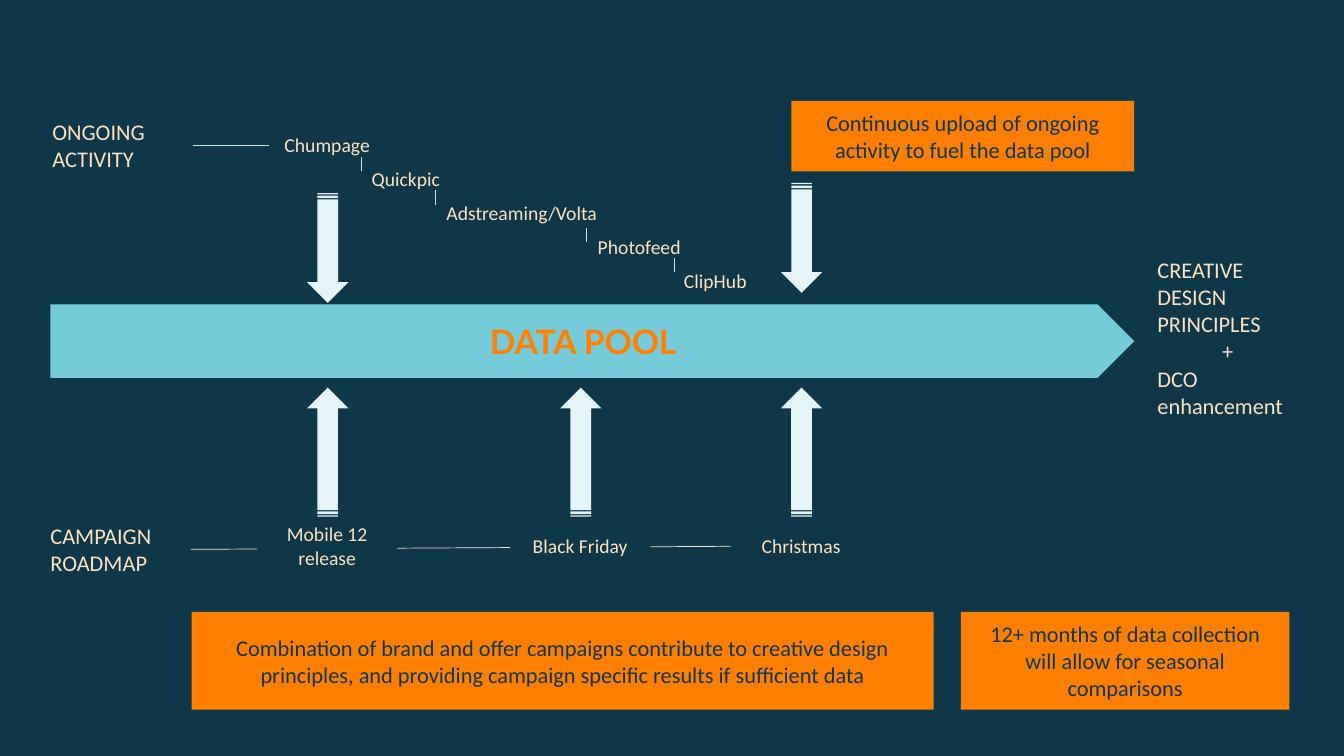
from lxml.etree import SubElement
from pptx import Presentation
from pptx.dml.color import RGBColor
from pptx.enum.shapes import MSO_CONNECTOR, MSO_SHAPE
from pptx.enum.text import MSO_ANCHOR, MSO_AUTO_SIZE, PP_ALIGN
from pptx.oxml.ns import qn
from pptx.util import Inches, Pt

COLORS = {
    "navy": "0F374A",
    "aqua": "75CBD9",
    "ice": "E3F5F7",
    "cream": "FDE2C1",
    "orange": "FF7F00",
    "grey": "DBDBDB",
}
LEFT, CENTER = PP_ALIGN.LEFT, PP_ALIGN.CENTER
TOP, MIDDLE = MSO_ANCHOR.TOP, MSO_ANCHOR.MIDDLE
GROW, FIXED = MSO_AUTO_SIZE.SHAPE_TO_FIT_TEXT, MSO_AUTO_SIZE.NONE
RIGHT_SIDE, LEFT_SIDE = 3, 1


def color(name):
    return RGBColor.from_string(COLORS[name])


def apply(target, values):
    for attribute, value in values.items():
        setattr(target, attribute, value)


def write(shape, paragraphs, size, ink, anchor=TOP, insets=(0, 0),
          font="Calibri", bold=False, autosize=GROW):
    side, end = map(Inches, insets)
    frame = shape.text_frame
    apply(frame, {
        "word_wrap": True, "auto_size": autosize, "vertical_anchor": anchor,
        "margin_left": side, "margin_right": side,
        "margin_top": end, "margin_bottom": end,
    })
    for index, (text, alignment) in enumerate(paragraphs):
        paragraph = frame.add_paragraph() if index else frame.paragraphs[0]
        paragraph.alignment = alignment
        run = paragraph.add_run()
        run.text = text
        apply(run.font, {"name": font, "size": Pt(size), "bold": bold})
        run.font.color.rgb = color(ink)


def add_block(slide, kind, box, fill):
    block = slide.shapes.add_shape(kind, *map(Inches, box))
    block.shadow.inherit = False
    block.fill.solid()
    block.fill.fore_color.rgb = color(fill)
    block.line.fill.background()
    return block


def add_label(slide, box, paragraphs, size):
    label = slide.shapes.add_textbox(*map(Inches, box))
    write(label, paragraphs, size, "cream")
    return label


def add_milestone(slide, box, text, size, alignment=CENTER):
    milestone = add_block(slide, MSO_SHAPE.RECTANGLE, box, "navy")
    write(milestone, [(text, alignment)], size, "cream")
    return milestone


def add_callout(slide, box, text):
    callout = add_block(slide, MSO_SHAPE.RECTANGLE, box, "orange")
    write(callout, [(text, CENTER)], 16, "navy", MIDDLE, (0.2, 0.08))


def add_flow_arrow(slide, center_x, center_y, length, rotation):
    width = 0.41
    box = (center_x - length / 2, center_y - width / 2, length, width)
    arrow = add_block(slide, MSO_SHAPE.STRIPED_RIGHT_ARROW, box, "ice")
    arrow.rotation = rotation


def add_line(slide, start, end, ink):
    line = slide.shapes.add_connector(
        MSO_CONNECTOR.STRAIGHT, *map(Inches, (*start, *end)))
    line.line.color.rgb = color(ink)
    line.line.width = Pt(0.5)
    SubElement(line._element.spPr, qn("a:effectLst"))
    return line


def join(line, first, last):
    line.begin_connect(first, RIGHT_SIDE)
    line.end_connect(last, LEFT_SIDE)


def add_roadmap(slide):
    roadmap_line = add_line(slide, (1.9, 5.45), (7.25, 5.41), "cream")
    heading = add_milestone(
        slide, (0.5, 5.18, 1.39, 0.54), "CAMPAIGN ROADMAP", 16, LEFT)
    for left, top, height, text in (
        (2.55, 5.18, 0.47, "Mobile 12 release"),
        (5.06, 5.3, 0.24, "Black Friday"),
        (7.25, 5.3, 0.24, "Christmas"),
    ):
        milestone = add_milestone(slide, (left, top, 1.39, height), text, 14)
        add_flow_arrow(slide, left + 0.7, 4.485, 1.28, 270)
    join(roadmap_line, heading, milestone)


def add_ongoing_activity(slide):
    heading = add_label(
        slide, (0.52, 1.17, 1.39, 0.54), [("ONGOING ACTIVITY", LEFT)], 16)
    channels = [
        add_label(slide, (left, 1.32 + 0.338 * step, width, 0.24),
                  [(name, CENTER)], 14)
        for step, (left, width, name) in enumerate((
            (2.67, 1.15, "Chumpage"),
            (3.45, 1.15, "Quickpic"),
            (4.23, 1.89, "Adstreaming/Volta"),
            (5.75, 1.18, "Photofeed"),
            (6.56, 1.07, "ClipHub"),
        ))
    ]
    join(add_line(slide, (1.92, 1.44), (2.67, 1.44), "grey"),
         heading, channels[0])
    for x, y in ((3.58, 1.56), (4.32, 1.89), (5.82, 2.26), (6.69, 2.56)):
        add_line(slide, (x, y), (x, y + 0.14), "grey")
    for center_x, center_y in ((3.25, 2.46), (7.95, 2.36)):
        add_flow_arrow(slide, center_x, center_y, 1.09, 90)


def add_data_pool(slide):
    pool = add_block(slide, MSO_SHAPE.PENTAGON, (0.5, 3.02, 10.75, 0.73), "aqua")
    write(pool, [("DATA POOL", CENTER)], 24, "orange", MIDDLE, (0.08, 0.08),
          "Lato", True, FIXED)


def add_outcomes(slide):
    add_label(slide, (11.48, 2.54, 1.39, 1.35),
              [("CREATIVE DESIGN PRINCIPLES", LEFT), ("+", CENTER)], 16)
    add_label(slide, (11.48, 3.62, 1.39, 0.54), [("DCO enhancement", LEFT)], 16)


def main():
    deck = Presentation()
    deck.slide_width, deck.slide_height = Inches(13.33), Inches(7.5)
    slide = deck.slides.add_slide(deck.slide_layouts[6])
    slide.background.fill.solid()
    slide.background.fill.fore_color.rgb = color("navy")

    add_roadmap(slide)
    add_data_pool(slide)
    add_ongoing_activity(slide)
    add_outcomes(slide)
    for box, text in (
        ((7.85, 1, 3.4, 0.7),
         "Continuous upload of ongoing activity to fuel the data pool"),
        ((1.9, 6.07, 7.36, 0.97),
         "Combination of brand and offer campaigns contribute to creative "
         "design principles, and providing campaign specific results if "
         "sufficient data"),
        ((9.53, 6.07, 3.26, 0.97),
         "12+ months of data collection will allow for seasonal comparisons"),
    ):
        add_callout(slide, box, text)
    deck.save("out.pptx")


if __name__ == "__main__":
    main()
